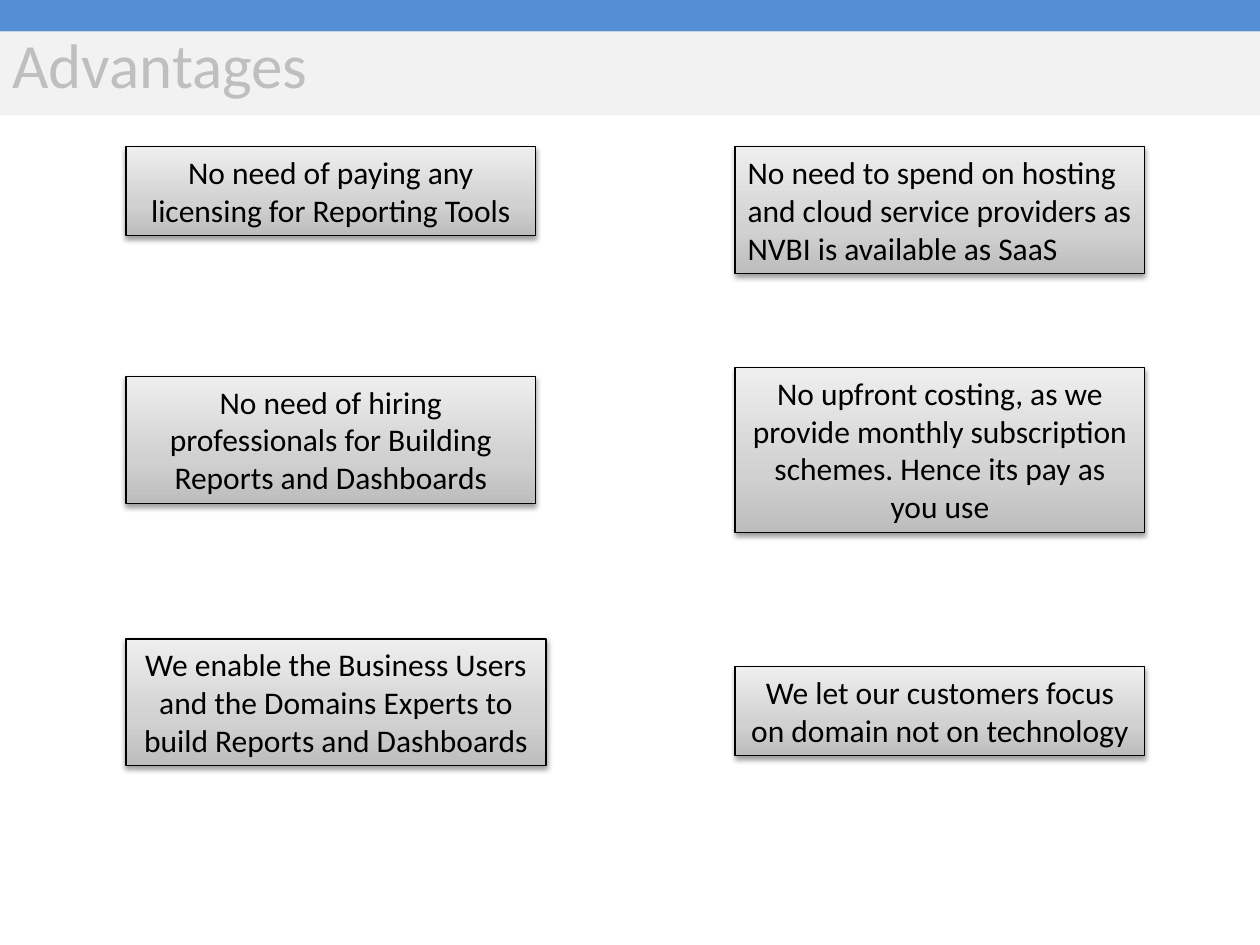
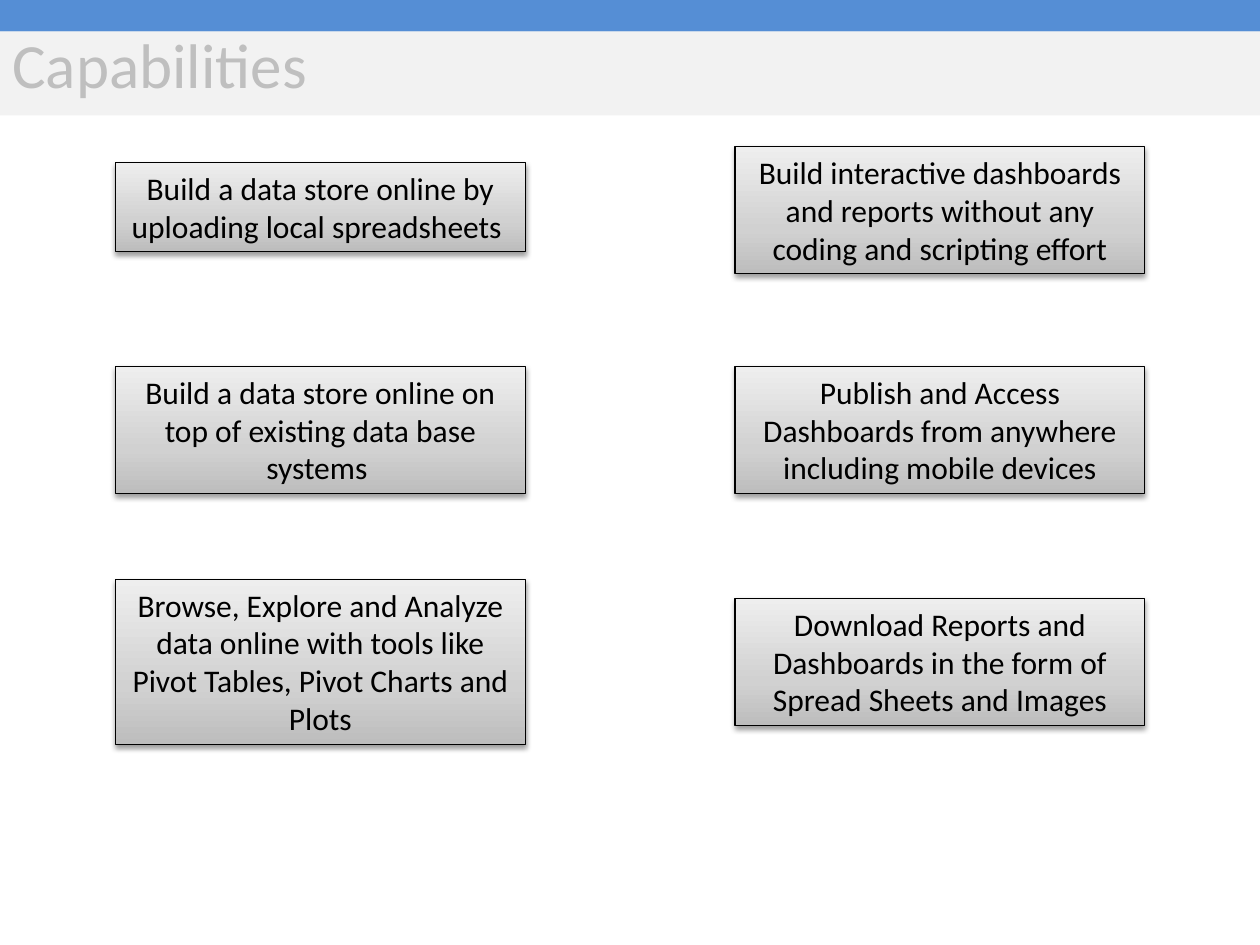
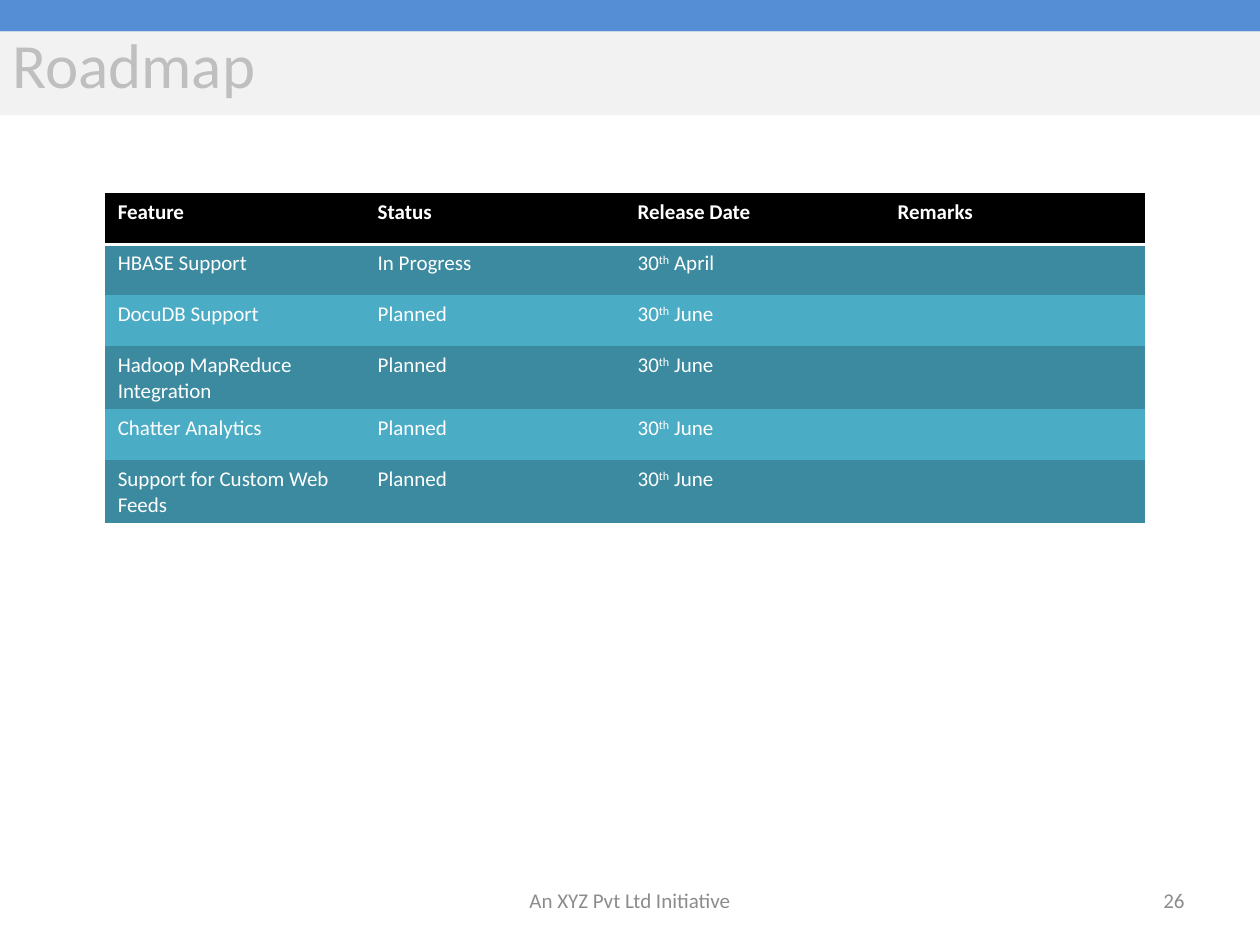
import lxml.etree
import pptx
import pptx.dml.color
import pptx.enum.shapes
import pptx.enum.text
import pptx.oxml.ns
import pptx.util

Cm = pptx.util.Cm
Pt = pptx.util.Pt
ALIGN = pptx.enum.text.PP_ALIGN
MIDDLE = pptx.enum.text.MSO_ANCHOR.MIDDLE
qn = pptx.oxml.ns.qn

COLORS = {
    "band": "558ED5",
    "title_band": "F2F2F2",
    "title": "BFBFBF",
    "black": "000000",
    "white": "FFFFFF",
    "footer": "8C8C8C",
    "row_dark": "3C8A9F",
    "row_light": "4BACC6",
}
BOX_GRADIENT = [(0, "BDBDBD"), (35, "D1D1D1"), (100, "EEEEEE")]
FONT = "Calibri"
NO_TABLE_STYLE = "{2D5ABB26-0587-4C30-8999-92F81FD0307C}"

PAGE_WIDTH, PAGE_HEIGHT = 25.4, 19.05
BOX_WIDTH = 8.26
RIGHT_COLUMN = 14.82

# Each box: left, top, number of text lines, text
ADVANTAGES = [
    (2.54, 2.96, 2, "No need of paying any licensing for Reporting Tools"),
    (2.54, 7.59, 3, "No need of hiring professionals for Building Reports and Dashboards"),
    (RIGHT_COLUMN, 7.41, 4, "No upfront costing, as we provide monthly subscription schemes. "
                            "Hence its pay as you use"),
    (RIGHT_COLUMN, 13.44, 2, "We let our customers focus on domain not on technology"),
]
CAPABILITIES = [
    (2.33, 3.28, 2, "Build a data store online by uploading local spreadsheets "),
    (2.33, 7.39, 3, "Build a data store online on top of existing data base systems "),
    (2.33, 11.68, 4, "Browse, Explore and Analyze data online with tools like "
                     "Pivot Tables, Pivot Charts and Plots"),
    (RIGHT_COLUMN, 2.96, 3, "Build interactive dashboards and reports without any "
                            "coding and scripting effort"),
    (RIGHT_COLUMN, 7.39, 3, "Publish and Access Dashboards from anywhere including mobile devices"),
    (RIGHT_COLUMN, 12.07, 3, "Download Reports and Dashboards in the form of "
                             "Spread Sheets and Images"),
]
ROADMAP_HEADER = ["Feature", "Status", "Release Date", "Remarks"]
# Each feature: name, status, day and month of release
ROADMAP = [
    ("HBASE Support", "In Progress", "30", "April"),
    ("DocuDB Support", "Planned", "30", "June"),
    ("Hadoop MapReduce Integration", "Planned", "30", "June"),
    ("Chatter Analytics", "Planned", "30", "June"),
    ("Support for Custom Web Feeds", "Planned", "30", "June"),
]


def rgb(name):
    return pptx.dml.color.RGBColor.from_string(COLORS[name])


def add_child(parent, tag, **attributes):
    return lxml.etree.SubElement(parent, qn(tag), {k: str(v) for k, v in attributes.items()})


def add_span(para, text, size, color, bold=False, raised=False):
    span = para.add_run()
    span.text = text
    span.font.name = FONT
    span.font.size = Pt(size)
    span.font.bold = bold
    span.font.color.rgb = rgb(color)
    if raised:
        span.font._element.set("baseline", "30000")


def add_rectangle(page, left, top, width, height):
    shape = page.shapes.add_shape(pptx.enum.shapes.MSO_SHAPE.RECTANGLE,
                                  Cm(left), Cm(top), Cm(width), Cm(height))
    shape.shadow.inherit = False
    shape.text_frame.word_wrap = True
    return shape


def add_band(page, top, height, color):
    band = add_rectangle(page, 0, top, PAGE_WIDTH, height)
    band.fill.solid()
    band.fill.fore_color.rgb = rgb(color)
    band.line.fill.background()
    return band


def add_page(deck, title):
    page = deck.slides.add_slide(deck.slide_layouts[6])
    add_band(page, 0, 0.64, "band")
    add_band(page, 0.64, 1.69, "title_band")
    frame = add_band(page, 0.64, 1.27, "title_band").text_frame
    frame.vertical_anchor = MIDDLE
    frame.paragraphs[0].alignment = ALIGN.LEFT
    add_span(frame.paragraphs[0], title, 36, "title")
    return page


def set_gradient(shape):
    shape.fill.gradient()
    shape.fill.gradient_angle = 90
    stops = shape._element.spPr.find(qn("a:gradFill")).find(qn("a:gsLst"))
    for stop in list(stops):
        stops.remove(stop)
    for position, color in BOX_GRADIENT:
        stop = add_child(stops, "a:gs", pos=position * 1000)
        add_child(stop, "a:srgbClr", val=color)


def set_shadow(shape):
    effects = shape._element.spPr.find(qn("a:effectLst"))
    shadow = add_child(effects, "a:outerShdw", blurRad=Pt(3.1), dist=Pt(1.6),
                       dir=90 * 60000, rotWithShape=0)
    color = add_child(shadow, "a:srgbClr", val=COLORS["black"])
    add_child(color, "a:alpha", val=38000)


def add_box(page, left, top, lines, text, width=BOX_WIDTH, align=ALIGN.CENTER):
    box = add_rectangle(page, left, top, width, 0.25 + 0.77 * lines)
    set_gradient(box)
    box.line.color.rgb = rgb("black")
    box.line.width = Pt(0.75)
    set_shadow(box)
    frame = box.text_frame
    frame.vertical_anchor = pptx.enum.text.MSO_ANCHOR.TOP
    frame.auto_size = pptx.enum.text.MSO_AUTO_SIZE.SHAPE_TO_FIT_TEXT
    frame.paragraphs[0].alignment = align
    add_span(frame.paragraphs[0], text, 18, "black")


def add_footer(page, left, width, text, align):
    frame = page.shapes.add_textbox(Cm(left), Cm(17.65), Cm(width), Cm(1.01)).text_frame
    frame.word_wrap = True
    frame.vertical_anchor = MIDDLE
    frame.paragraphs[0].alignment = align
    add_span(frame.paragraphs[0], text, 12, "footer")


def set_bottom_border(cell):
    border = lxml.etree.Element(qn("a:lnB"), {"w": str(Pt(2))})
    add_child(add_child(border, "a:solidFill"), "a:srgbClr", val=COLORS["white"])
    cell._tc.get_or_add_tcPr().insert(0, border)


def fill_cell(cell, color, *texts, bold=False):
    """Writes the texts in turn, every second one raised."""
    cell.fill.solid()
    cell.fill.fore_color.rgb = rgb(color)
    for index, text in enumerate(texts):
        add_span(cell.text_frame.paragraphs[0], text, 12, "white", bold, index % 2 == 1)


def add_roadmap_table(page):
    rows, columns = len(ROADMAP) + 1, len(ROADMAP_HEADER)
    table = page.shapes.add_table(rows, columns, Cm(2.12), Cm(3.89),
                                  Cm(5.24 * columns), Cm(1.03 * rows)).table
    table._tbl.tblPr.find(qn("a:tableStyleId")).text = NO_TABLE_STYLE
    for column, heading in enumerate(ROADMAP_HEADER):
        cell = table.cell(0, column)
        fill_cell(cell, "black", heading, bold=True)
        set_bottom_border(cell)
    for row, (feature, status, day, month) in enumerate(ROADMAP, start=1):
        color = "row_dark" if row % 2 else "row_light"
        fill_cell(table.cell(row, 0), color, feature)
        fill_cell(table.cell(row, 1), color, status)
        fill_cell(table.cell(row, 2), color, day, "th", f" {month}")
        fill_cell(table.cell(row, 3), color)


def main():
    deck = pptx.Presentation()
    deck.slide_width, deck.slide_height = Cm(PAGE_WIDTH), Cm(PAGE_HEIGHT)

    # Advantages
    page = add_page(deck, "Advantages")
    for box in ADVANTAGES:
        add_box(page, *box)
    add_box(page, RIGHT_COLUMN, 2.96, 3, "No need to spend on hosting and cloud service "
            "providers as NVBI is available as SaaS", align=ALIGN.LEFT)
    add_box(page, 2.54, 12.88, 3, "We enable the Business Users and the Domains Experts "
            "to build Reports and Dashboards", width=8.47)

    # Capabilities
    page = add_page(deck, "Capabilities")
    for box in CAPABILITIES:
        add_box(page, *box)

    # Roadmap
    page = add_page(deck, "Roadmap")
    add_footer(page, 18.2, 5.93, "26", ALIGN.RIGHT)
    add_footer(page, 8.68, 8.04, "An XYZ Pvt Ltd Initiative", ALIGN.CENTER)
    add_roadmap_table(page)

    deck.save("out.pptx")


if __name__ == "__main__":
    main()
